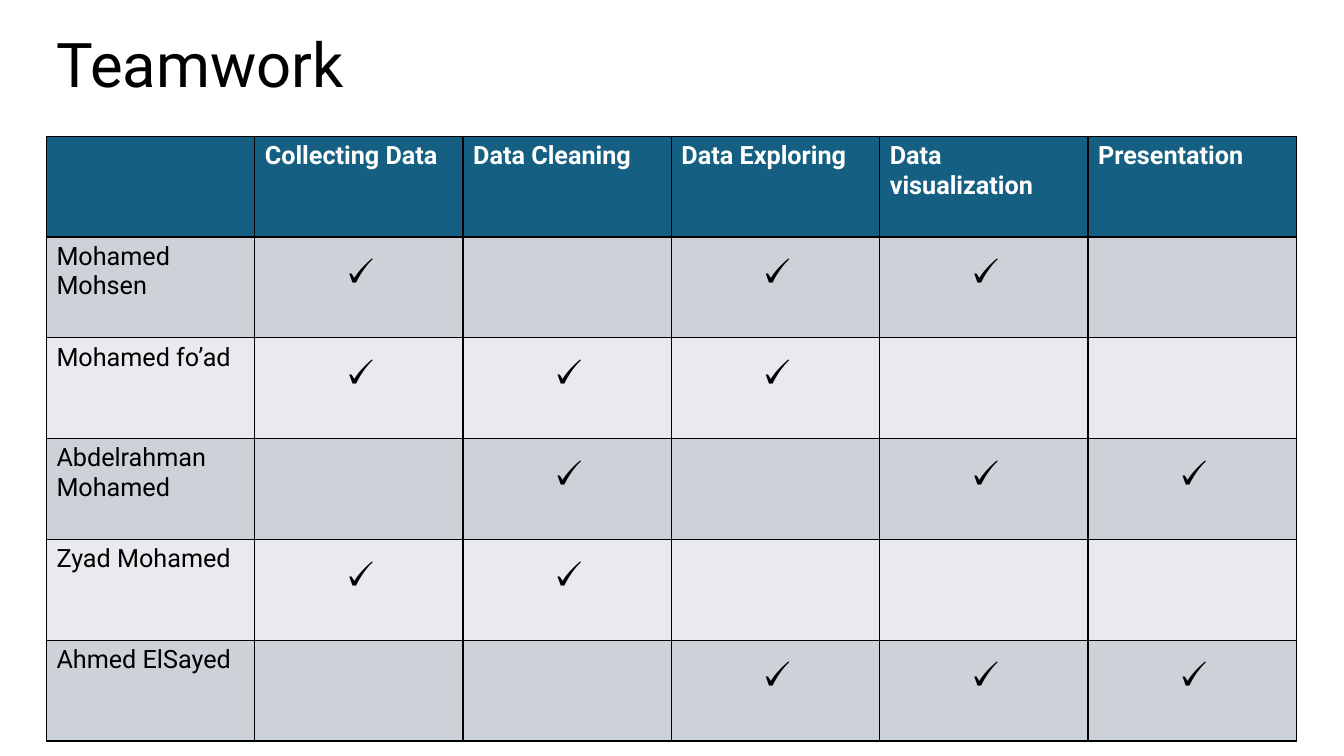
from lxml.etree import SubElement
from pptx import Presentation
from pptx.dml.color import RGBColor
from pptx.enum.text import MSO_ANCHOR, PP_ALIGN
from pptx.oxml.ns import qn
from pptx.util import Cm, Pt

BLACK = RGBColor(0x00, 0x00, 0x00)
WHITE = RGBColor(0xFF, 0xFF, 0xFF)
HEADER_BLUE = RGBColor(0x15, 0x60, 0x82)
DARK_BAND = RGBColor(0xCC, 0xD2, 0xD8)
LIGHT_BAND = RGBColor(0xE8, 0xEA, 0xED)

FONT = "Roboto"
CHECK = "🗸"
TASKS = ["Collecting Data", "Data Cleaning", "Data Exploring",
         "Data visualization", "Presentation"]
MEMBERS = {
    "Mohamed Mohsen": {"Collecting Data", "Data Exploring", "Data visualization"},
    "Mohamed fo’ad": {"Collecting Data", "Data Cleaning", "Data Exploring"},
    "Abdelrahman Mohamed": {"Data Cleaning", "Data visualization", "Presentation"},
    "Zyad Mohamed": {"Collecting Data", "Data Cleaning"},
    "Ahmed ElSayed": {"Data Exploring", "Data visualization", "Presentation"},
}
COLUMN_WIDTH = Cm(5.25)
ROW_HEIGHT = Cm(2.54)


def write_text(frame, text, size=18, color=BLACK, bold=False,
               align=PP_ALIGN.LEFT, line_spacing=None):
    paragraph = frame.paragraphs[0]
    paragraph.alignment = align
    paragraph.line_spacing = line_spacing
    run = paragraph.add_run()
    run.text = text
    run.font.name = FONT
    run.font.size = Pt(size)
    run.font.bold = bold
    run.font.color.rgb = color


def add_title(slide, text):
    title = slide.shapes.title
    title.left, title.top = Cm(1.17), Cm(-0.46)
    title.width, title.height = Cm(30.61), Cm(4.32)
    title.text_frame.vertical_anchor = MSO_ANCHOR.MIDDLE
    write_text(title.text_frame, text, size=44, line_spacing=0.9)


def style_cell(cell, fill_color):
    properties = cell._tc.get_or_add_tcPr()
    for side in ("a:lnL", "a:lnR", "a:lnT", "a:lnB"):
        border = SubElement(properties, qn(side), w=str(Pt(1)))
        solid = SubElement(border, qn("a:solidFill"))
        SubElement(solid, qn("a:srgbClr"), val=str(BLACK))
    cell.fill.solid()
    cell.fill.fore_color.rgb = fill_color


def add_task_table(slide):
    row_count, column_count = len(MEMBERS) + 1, len(TASKS) + 1
    table = slide.shapes.add_table(
        row_count, column_count, Cm(1.17), Cm(3.43),
        COLUMN_WIDTH * column_count, ROW_HEIGHT * row_count).table

    for cell in table.iter_cells():
        style_cell(cell, HEADER_BLUE)
    for column, task in enumerate(TASKS, 1):
        write_text(table.cell(0, column).text_frame, task, color=WHITE, bold=True)

    for row, (member, done) in enumerate(MEMBERS.items(), 1):
        band = DARK_BAND if row % 2 else LIGHT_BAND
        for cell in table.rows[row].cells:
            cell.fill.fore_color.rgb = band
        write_text(table.cell(row, 0).text_frame, member)
        for column, task in enumerate(TASKS, 1):
            if task in done:
                write_text(table.cell(row, column).text_frame, CHECK,
                           size=36, align=PP_ALIGN.CENTER)


def main():
    presentation = Presentation()
    presentation.slide_width = Cm(33.87)
    presentation.slide_height = Cm(19.05)
    slide = presentation.slides.add_slide(presentation.slide_layouts[5])
    add_title(slide, "Teamwork")
    add_task_table(slide)
    presentation.save("out.pptx")


if __name__ == "__main__":
    main()
